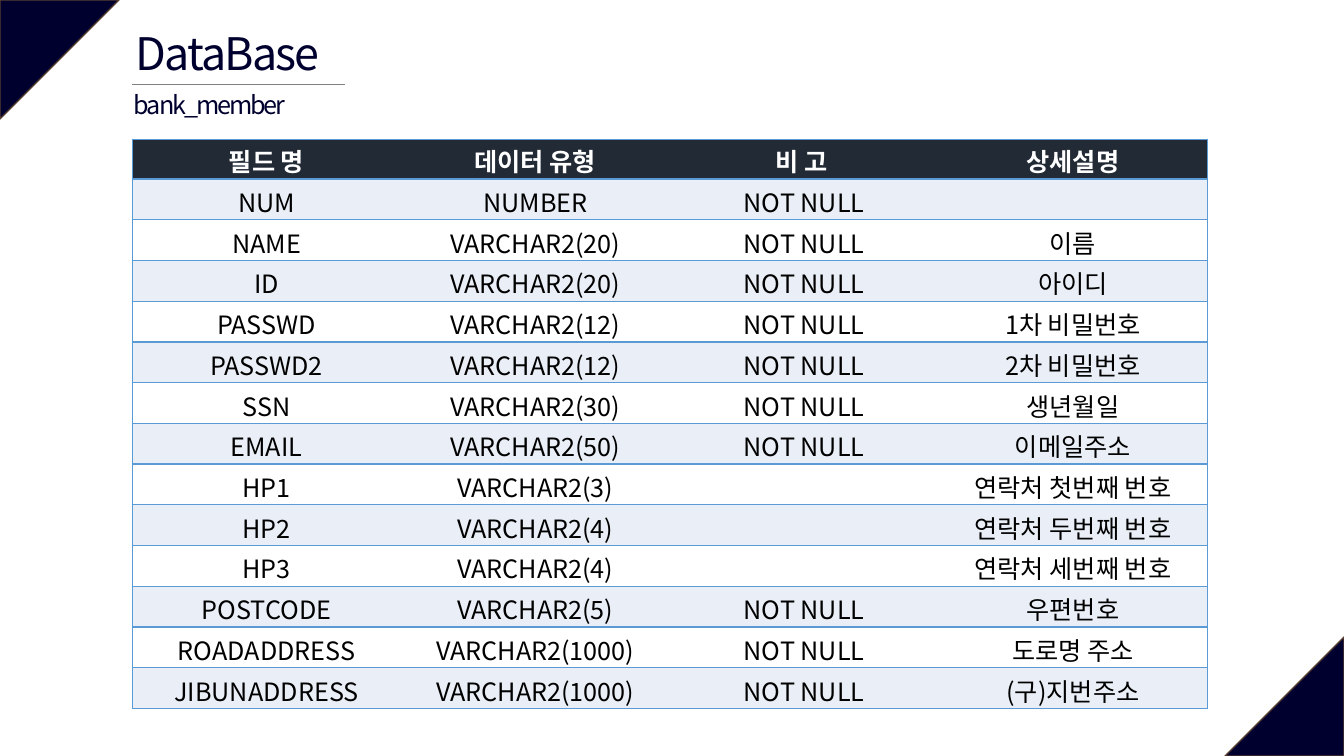
from typing import NamedTuple

from lxml.etree import SubElement
from pptx import Presentation
from pptx.dml.color import RGBColor
from pptx.enum.shapes import MSO_CONNECTOR, MSO_SHAPE
from pptx.enum.text import MSO_ANCHOR, MSO_AUTO_SIZE, PP_ALIGN
from pptx.oxml import parse_xml
from pptx.oxml.ns import nsdecls, qn
from pptx.util import Pt

FONT = "Noto Sans CJK KR"
NAVY, WHITE, BLACK = "00002F", "FFFFFF", "000000"
HEADER_FILL, BAND_FILL, BORDER = "222A35", "EAEFF7", "5B9BD5"
SLIDE_WIDTH, SLIDE_HEIGHT = 960, 540
CORNER_SIZE = 85
TABLE_LEFT, TABLE_TOP = 94.4, 99.4
COLUMN_WIDTH, HEADER_HEIGHT, ROW_HEIGHT = 192, 28.5, 29.1


class Corner(NamedTuple):
    left: float
    top: float
    rotation: float


class Field(NamedTuple):
    name: str
    data_type: str
    remark: str
    description: str


CORNERS = [
    Corner(0, 0, 90),
    Corner(SLIDE_WIDTH - CORNER_SIZE, SLIDE_HEIGHT - CORNER_SIZE, 270),
]
HEADER = Field("필드 명", "데이터 유형", "비 고 ", "상세설명")
FIELDS = [
    Field("NUM", "NUMBER", "NOT NULL", ""),
    Field("NAME", "VARCHAR2(20)", "NOT NULL", "이름"),
    Field("ID", "VARCHAR2(20)", "NOT NULL", "아이디"),
    Field("PASSWD", "VARCHAR2(12)", "NOT NULL", "1차 비밀번호"),
    Field("PASSWD2", "VARCHAR2(12)", "NOT NULL", "2차 비밀번호"),
    Field("SSN", "VARCHAR2(30)", "NOT NULL", "생년월일"),
    Field("EMAIL", "VARCHAR2(50)", "NOT NULL", "이메일주소"),
    Field("HP1", "VARCHAR2(3)", "", "연락처 첫번째 번호"),
    Field("HP2", "VARCHAR2(4)", "", "연락처 두번째 번호"),
    Field("HP3", "VARCHAR2(4)", "", "연락처 세번째 번호"),
    Field("POSTCODE", "VARCHAR2(5)", "NOT NULL", "우편번호"),
    Field("ROADADDRESS", "VARCHAR2(1000)", "NOT NULL", "도로명 주소"),
    Field("JIBUNADDRESS", "VARCHAR2(1000)", "NOT NULL", "(구)지번주소"),
]


def set_color(color_format, value: str) -> None:
    color_format.rgb = RGBColor.from_string(value)


def set_fill(fill, value: str) -> None:
    fill.solid()
    set_color(fill.fore_color, value)


def write_text(frame, text: str, *, size: float = 18, color: str = BLACK,
               bold: bool = False, spacing: float = 0) -> None:
    paragraph = frame.paragraphs[0]
    paragraph.alignment = PP_ALIGN.CENTER
    if not text:
        paragraph.font.size = Pt(size)
        return
    run = paragraph.add_run()
    run.text = text
    run.font.size, run.font.bold, run.font.name = Pt(size), bold, FONT
    set_color(run.font.color, color)
    properties = run.font._element
    SubElement(properties, qn("a:ea")).set("typeface", FONT)
    if spacing:
        properties.set("spc", str(round(spacing * 100)))


def place_heading(shape, left: float, top: float, width: float, height: float,
                  *, wrap: bool) -> None:
    shape.left, shape.top = Pt(left), Pt(top)
    shape.width, shape.height = Pt(width), Pt(height)
    frame = shape.text_frame
    frame.word_wrap = wrap
    frame.auto_size = MSO_AUTO_SIZE.NONE
    frame.vertical_anchor = MSO_ANCHOR.MIDDLE


def add_corner(slide, corner: Corner) -> None:
    shape = slide.shapes.add_shape(
        MSO_SHAPE.ISOSCELES_TRIANGLE, Pt(corner.left), Pt(corner.top),
        Pt(CORNER_SIZE), Pt(CORNER_SIZE))
    shape.adjustments[0] = 0
    shape.rotation = corner.rotation
    shape.shadow.inherit = False
    set_fill(shape.fill, NAVY)
    set_color(shape.line.color, "5B3F33")
    shape.line.width = Pt(1)


def add_rule(slide, left: float, right: float, top: float) -> None:
    rule = slide.shapes.add_connector(
        MSO_CONNECTOR.STRAIGHT, Pt(left), Pt(top), Pt(right), Pt(top))
    set_color(rule.line.color, "808080")
    rule.line.width = Pt(0.5)
    SubElement(rule._element.spPr, qn("a:effectLst"))


def set_borders(cell, visible: str) -> None:
    """Draw the sides named in visible (L, R, T, B) and clear the others."""
    properties = cell._tc.get_or_add_tcPr()
    for position, side in enumerate("LRTB"):
        paint = (f'<a:solidFill><a:srgbClr val="{BORDER}"/></a:solidFill>'
                 if side in visible else "<a:noFill/>")
        line = parse_xml(
            f'<a:ln{side} {nsdecls("a")} w="{Pt(1)}">{paint}</a:ln{side}>')
        properties.insert(position, line)


def add_field_table(slide) -> None:
    rows = [HEADER, *FIELDS]
    columns = len(HEADER)
    height = HEADER_HEIGHT + ROW_HEIGHT * len(FIELDS)
    table = slide.shapes.add_table(
        len(rows), columns, Pt(TABLE_LEFT), Pt(TABLE_TOP),
        Pt(COLUMN_WIDTH * columns), Pt(height)).table
    for column in table.columns:
        column.width = Pt(COLUMN_WIDTH)
    for row_index, field in enumerate(rows):
        is_header = row_index == 0
        row_height = HEADER_HEIGHT if is_header else ROW_HEIGHT
        band = HEADER_FILL if is_header else (BAND_FILL if row_index % 2 else WHITE)
        table.rows[row_index].height = Pt(row_height)
        for column_index, text in enumerate(field):
            cell = table.cell(row_index, column_index)
            cell.margin_top = Pt(2.2 if is_header else 2.9)
            cell.margin_bottom = 0
            cell.vertical_anchor = MSO_ANCHOR.MIDDLE
            set_fill(cell.fill, band)
            outer = {0: "L", columns - 1: "R"}.get(column_index, "")
            set_borders(cell, "TB" + outer)
            write_text(cell.text_frame, text, bold=is_header,
                       color=WHITE if is_header else BLACK)


def main() -> None:
    presentation = Presentation()
    presentation.slide_width = Pt(SLIDE_WIDTH)
    presentation.slide_height = Pt(SLIDE_HEIGHT)
    slide = presentation.slides.add_slide(presentation.slide_layouts[5])

    # Corner triangles
    for corner in CORNERS:
        add_corner(slide, corner)

    # Title, rule and table name
    title = slide.shapes.title
    place_heading(title, 78.5, 14.4, 168, 46, wrap=True)
    write_text(title.text_frame, "DataBase", size=32, color=NAVY, spacing=-1.3)
    add_rule(slide, 94.4, 246.4, 60.4)
    subtitle = slide.shapes.add_textbox(0, 0, 0, 0)
    place_heading(subtitle, 82.8, 60.4, 134, 29, wrap=False)
    write_text(subtitle.text_frame, "bank_member", color=NAVY, spacing=-1.5)

    # Field table
    add_field_table(slide)

    presentation.save("out.pptx")


if __name__ == "__main__":
    main()
